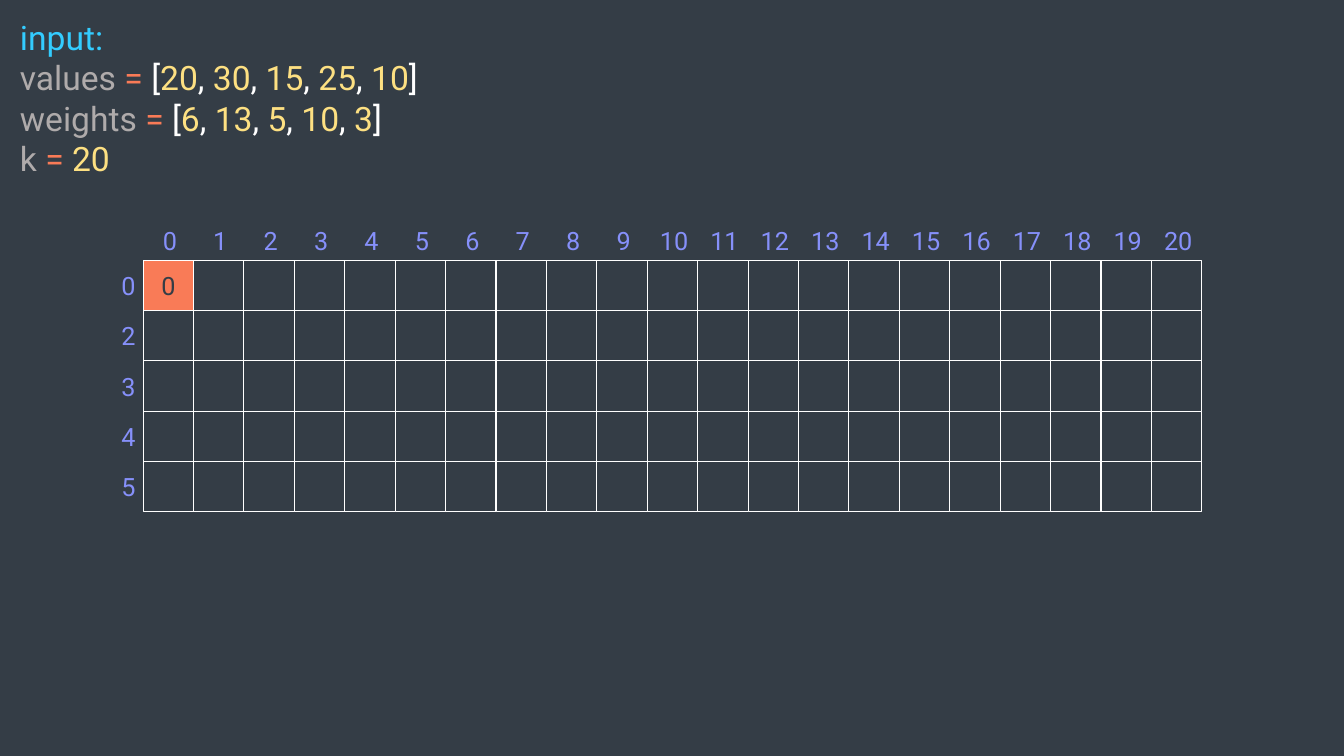
from dataclasses import dataclass

from pptx import Presentation
from pptx.dml.color import RGBColor
from pptx.enum.shapes import MSO_SHAPE
from pptx.enum.text import MSO_ANCHOR, MSO_AUTO_SIZE, PP_ALIGN
from pptx.util import Emu, Pt


@dataclass(frozen=True)
class Theme:
    font: str = "Roboto"
    code_size: int = 24
    grid_size: int = 18
    border: float = 0.75
    background: str = "343D46"
    white: str = "FFFFFF"
    heading: str = "33CCFF"
    name: str = "AFABAB"
    accent: str = "F97B57"
    number: str = "FDE082"
    index: str = "8690FA"


def px(n):
    return Emu(n * 9144)


class Canvas:
    """Draws themed elements on one slide, with 100 px to the inch."""

    def __init__(self, slide, theme):
        self.slide = slide
        self.theme = theme
        fill = slide.background.fill
        fill.solid()
        fill.fore_color.rgb = RGBColor.from_string(theme.background)

    def style(self, r, size, color):
        r.font.name = self.theme.font
        r.font.size = Pt(size)
        r.font.color.rgb = RGBColor.from_string(color)

    def text_box(self, x, y, w, h):
        tf = self.slide.shapes.add_textbox(px(x), px(y), px(w), px(h)).text_frame
        tf.word_wrap = True
        tf.auto_size = MSO_AUTO_SIZE.SHAPE_TO_FIT_TEXT
        return tf

    def code(self, x, y, w, h, lines):
        tf = self.text_box(x, y, w, h)
        for i, line in enumerate(lines):
            p = tf.add_paragraph() if i else tf.paragraphs[0]
            for text, color in line:
                r = p.add_run()
                r.text = text
                self.style(r, self.theme.code_size, color)

    def label(self, center, y, text):
        w = 35 if len(text) == 1 else 59
        p = self.text_box(center - w // 2, y, w, 40).paragraphs[0]
        p.text = text
        p.alignment = PP_ALIGN.CENTER
        self.style(p.runs[0], self.theme.grid_size, self.theme.index)

    def cell(self, x, y, side, fill, text=""):
        s = self.slide.shapes.add_shape(MSO_SHAPE.RECTANGLE, px(x), px(y), px(side), px(side))
        s.shadow.inherit = False
        s.fill.solid()
        s.fill.fore_color.rgb = RGBColor.from_string(fill)
        s.line.color.rgb = RGBColor.from_string(self.theme.white)
        s.line.width = Pt(self.theme.border)
        if text:
            tf = s.text_frame
            tf.margin_left = tf.margin_right = tf.margin_top = tf.margin_bottom = 0
            tf.vertical_anchor = MSO_ANCHOR.MIDDLE
            p = tf.paragraphs[0]
            p.text = text
            p.alignment = PP_ALIGN.CENTER
            self.style(p.runs[0], self.theme.grid_size, self.theme.background)


def list_line(theme, name, numbers):
    line = [(f"{name} ", theme.name), ("=", theme.accent)]
    for i, number in enumerate(numbers):
        line += [(", " if i else " [", theme.white), (str(number), theme.number)]
    return line + [("]", theme.white)]


def main():
    prs = Presentation()
    prs.slide_width, prs.slide_height = px(1333), px(750)
    theme = Theme()
    canvas = Canvas(prs.slides.add_slide(prs.slide_layouts[6]), theme)

    canvas.code(10, 12, 446, 172, [
        [("input:", theme.heading)],
        list_line(theme, "values", [20, 30, 15, 25, 10]),
        list_line(theme, "weights", [6, 13, 5, 10, 3]),
        [("k ", theme.name), ("= ", theme.accent), ("20", theme.number)],
    ])

    left, top, side = 142, 258, 50
    row_labels, columns = "02345", 21
    for row in range(len(row_labels)):
        for col in range(columns):
            first = row == col == 0
            canvas.cell(left + col * side, top + row * side, side,
                        theme.accent if first else theme.background, "0" if first else "")
    for row, text in enumerate(row_labels):
        canvas.label(127, top + 5 + row * side, text)
    for col in range(columns):
        canvas.label(168 + col * side, 219, str(col))

    prs.save("out.pptx")


if __name__ == "__main__":
    main()
